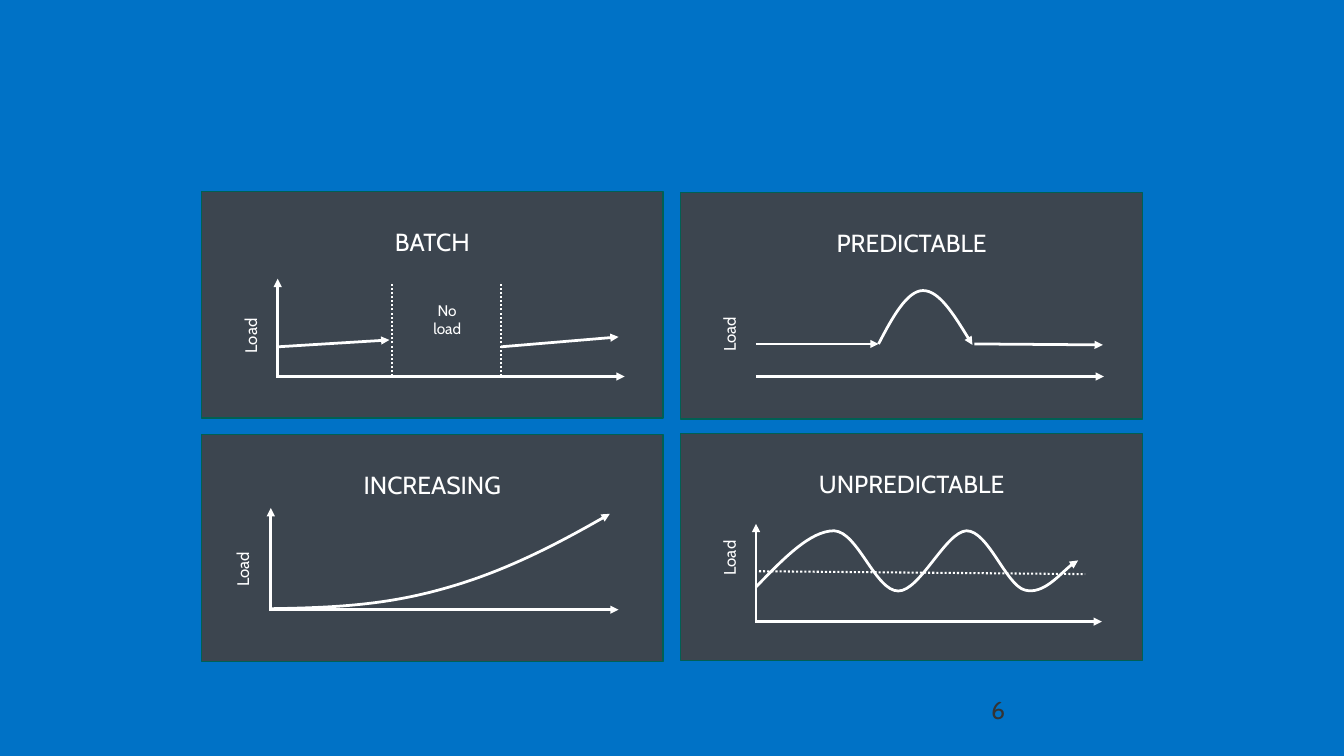
from lxml import etree
from pptx import Presentation
from pptx import util as u
from pptx.dml.color import RGBColor
from pptx.enum import dml, shapes, text
from pptx.oxml import ns

COLORS = {"background": "0072C6", "panel": "3C454F", "border": "006054",
          "white": "FFFFFF", "number": "343434"}
FONT = "Cabin"
PANEL_WIDTH, PANEL_HEIGHT = 336.2, 164.9
LEFT_COLUMN, RIGHT_COLUMN = 146.9, 496.1


def color(name):
    return RGBColor.from_string(COLORS[name])


def apply_format(target, values):
    for name, value in values.items():
        setattr(target, name, value)


def write_lines(shape, lines, size, color_name="white", frame_format=None, paragraph_format=None):
    frame = shape.text_frame
    apply_format(frame, {"word_wrap": True, "vertical_anchor": text.MSO_ANCHOR.TOP,
                         **(frame_format or {})})
    for index, line in enumerate(lines):
        paragraph = frame.paragraphs[0] if index == 0 else frame.add_paragraph()
        paragraph.text = line
        apply_format(paragraph, paragraph_format or {})
        if index:
            paragraph.space_before = u.Pt(2.2)
        apply_format(paragraph.font, {"name": FONT, "size": u.Pt(size)})
        paragraph.font.color.rgb = color(color_name)


def add_arrowhead(shape):
    outline = shape._element.spPr.find(ns.qn("a:ln"))
    etree.SubElement(outline, ns.qn("a:tailEnd"), type="triangle")


def add_line(slide, box, start, end, dotted=False):
    left, top = box
    line = slide.shapes.add_connector(
        shapes.MSO_CONNECTOR.STRAIGHT,
        u.Pt(left + start[0]), u.Pt(top + start[1]), u.Pt(left + end[0]), u.Pt(top + end[1]))
    line.line.color.rgb = color("white")
    line.line.width = u.Pt(1.5 if dotted else 2)
    if dotted:
        line.line.dash_style = dml.MSO_LINE.ROUND_DOT
    else:
        add_arrowhead(line)
    etree.SubElement(line._element.spPr, ns.qn("a:effectLst"))


def bend_segments(curve):
    segments = list(curve._element.iter(ns.qn("a:lnTo")))
    outline = segments[0].getparent()
    for first in range(0, len(segments), 3):
        bend = etree.SubElement(outline, ns.qn("a:cubicBezTo"))
        for segment in segments[first:first + 3]:
            bend.append(segment[0])
            outline.remove(segment)


def add_curve(slide, box, controls):
    left, top = box
    placed = [(u.Pt(left + x), u.Pt(top + y)) for x, y in controls]
    builder = slide.shapes.build_freeform(*placed[0])
    builder.add_line_segments(placed[1:], close=False)
    curve = builder.convert_to_shape()
    bend_segments(curve)
    curve.shadow.inherit = False
    curve.fill.background()
    curve.line.color.rgb = color("white")
    curve.line.width = u.Pt(2)
    add_arrowhead(curve)


def add_label(slide, box, center, size, lines, font_size, rotation=0):
    left, top = box
    width, height = size
    label = slide.shapes.add_textbox(
        u.Pt(left + center[0] - width / 2), u.Pt(top + center[1] - height / 2),
        u.Pt(width), u.Pt(height))
    label.rotation = rotation
    write_lines(label, lines, font_size, paragraph_format={
        "alignment": text.PP_ALIGN.CENTER, "line_spacing": u.Pt(10.9)})


def add_load_label(slide, box, center):
    add_label(slide, box, center, (82, 18.7), ["Load"], 12.2, rotation=270)


def add_panel(slide, box, title):
    left, top = box
    panel = slide.shapes.add_shape(shapes.MSO_SHAPE.RECTANGLE, u.Pt(left), u.Pt(top),
                                   u.Pt(PANEL_WIDTH), u.Pt(PANEL_HEIGHT))
    panel.shadow.inherit = False
    panel.fill.solid()
    panel.fill.fore_color.rgb = color("panel")
    panel.line.color.rgb = color("border")
    panel.line.width = u.Pt(0.85)
    write_lines(panel, [title], 18, frame_format={"margin_top": u.Pt(25.5)},
                paragraph_format={"alignment": text.PP_ALIGN.CENTER})


def add_batch(slide, box):
    add_panel(slide, box, "BATCH")
    add_line(slide, box, (55.4, 135.4), (55.4, 63.4))
    add_line(slide, box, (55.4, 134.6), (308.2, 134.6))
    add_load_label(slide, box, (37.8, 105))
    add_line(slide, box, (55.4, 113), (136.8, 108))
    add_line(slide, box, (218.2, 113), (303.8, 105.8))
    for x in (139, 218.2):
        add_line(slide, box, (x, 134.6), (x, 66.2), dotted=True)
    add_label(slide, box, (178.9, 95), (90, 33), ["No", "load"], 11.2)


def add_predictable(slide, box):
    add_panel(slide, box, "PREDICTABLE")
    add_line(slide, box, (54.7, 133.9), (308.2, 133.9))
    add_load_label(slide, box, (37.4, 103))
    add_line(slide, box, (213.8, 110.2), (307.4, 110.9))
    add_line(slide, box, (54.7, 110.2), (144, 110.2))
    add_curve(slide, box, [(144, 110.2), (154.1, 90.7), (164.9, 71.3), (176.4, 71.3),
                           (187.9, 71.3), (200.2, 90.7), (212.4, 110.9)])


def add_increasing(slide, box):
    add_panel(slide, box, "INCREASING")
    add_line(slide, box, (50.4, 128.2), (50.4, 53.3))
    add_line(slide, box, (50.4, 127.4), (303.8, 127.4))
    add_load_label(slide, box, (32, 98))
    add_curve(slide, box, [(49.7, 126.7), (98.6, 126), (134.6, 123.8), (175.7, 112.3),
                           (217.4, 100.8), (257.8, 80.6), (297.4, 57.6)])


def add_unpredictable(slide, box):
    add_panel(slide, box, "UNPREDICTABLE")
    add_line(slide, box, (54.7, 137.5), (54.7, 65.5))
    add_line(slide, box, (54, 136.8), (306.7, 136.8))
    add_load_label(slide, box, (37.4, 90.5))
    add_curve(slide, box, [
        (54.7, 111.6), (74.9, 90.7), (94.3, 70.6), (111.6, 70.6),
        (128.9, 71.3), (141.8, 114.5), (158.4, 114.5),
        (174.2, 114.5), (193, 71.3), (208.1, 70.6),
        (223.9, 70.6), (236.9, 110.2), (250.6, 113.8),
        (264.2, 117.4), (281.5, 95.8), (289.4, 92.2)])
    add_line(slide, box, (56.9, 100.1), (294.5, 102.2), dotted=True)


def add_slide_number(slide, left, top, width, height):
    number = slide.shapes.add_textbox(u.Pt(left), u.Pt(top), u.Pt(width), u.Pt(height))
    write_lines(number, ["6"], 18, "number")


def main():
    presentation = Presentation()
    presentation.slide_width = u.Pt(979.2)
    presentation.slide_height = u.Pt(550.8)
    slide = presentation.slides.add_slide(presentation.slide_layouts[6])
    slide.background.fill.solid()
    slide.background.fill.fore_color.rgb = color("background")
    add_slide_number(slide, 715, 502.6, 220.3, 29.5)
    add_increasing(slide, (LEFT_COLUMN, 316.8))
    add_batch(slide, (LEFT_COLUMN, 139.7))
    add_predictable(slide, (RIGHT_COLUMN, 140.4))
    add_unpredictable(slide, (RIGHT_COLUMN, 316.1))
    presentation.save("out.pptx")


if __name__ == "__main__":
    main()
